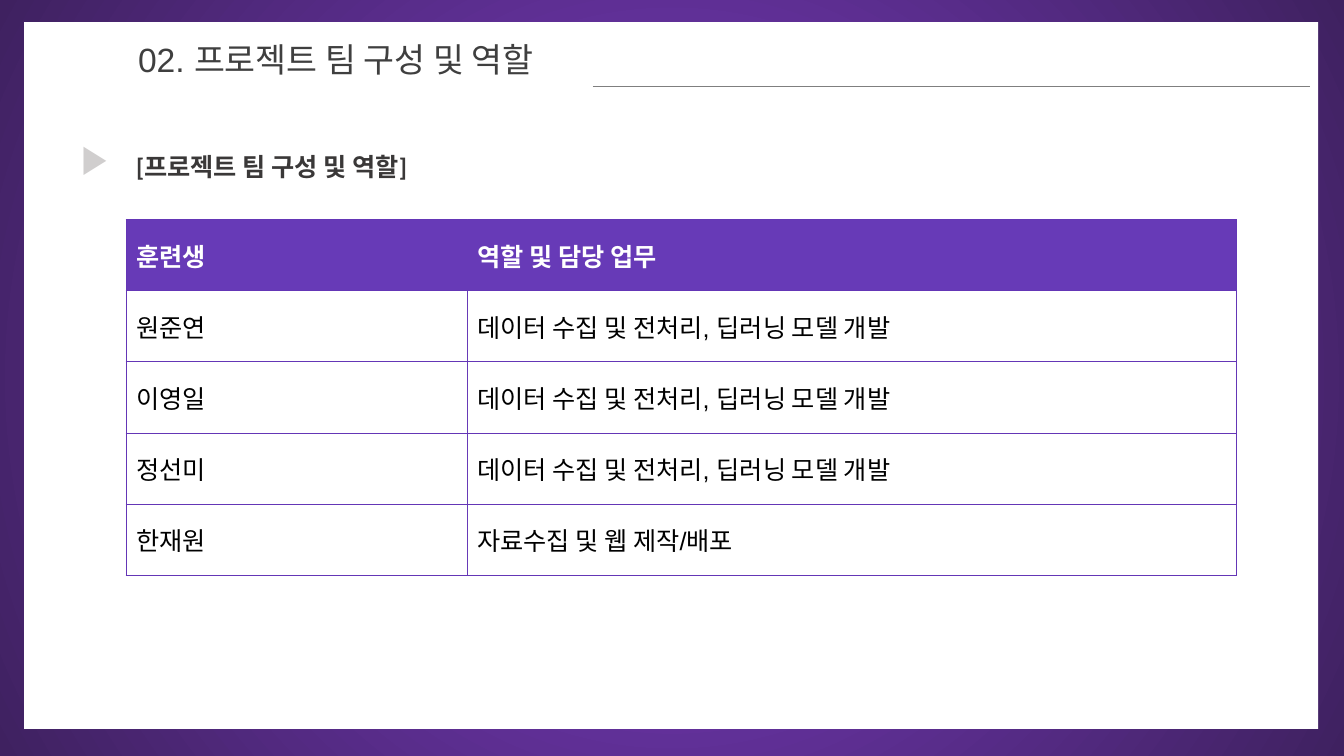
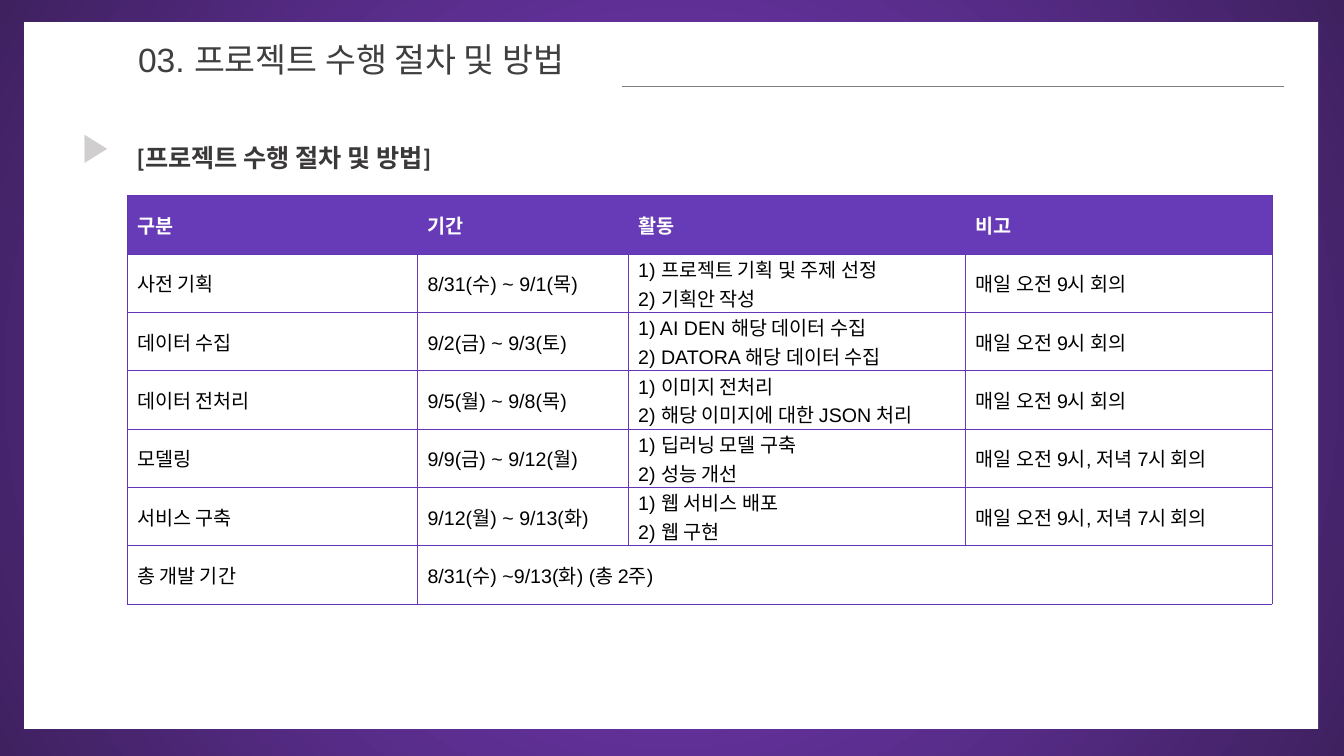
from dataclasses import dataclass

import pptx
import pptx.dml.color
import pptx.enum.shapes
import pptx.enum.text
import pptx.oxml
import pptx.oxml.ns
import pptx.slide
import pptx.table
import pptx.text.text
import pptx.util

Cm = pptx.util.Cm
Pt = pptx.util.Pt
RGBColor = pptx.dml.color.RGBColor

# Shared colours and fonts
GLOW = RGBColor(0x7E, 0x3D, 0xC8)
EDGE = RGBColor(0x3F, 0x21, 0x60)
WHITE = RGBColor(0xFF, 0xFF, 0xFF)
BLACK = RGBColor(0x00, 0x00, 0x00)
RULE_GRAY = RGBColor(0x7F, 0x7F, 0x7F)
TITLE_GRAY = RGBColor(0x3F, 0x3F, 0x3F)
MARKER_GRAY = RGBColor(0xD0, 0xCE, 0xCE)
HEADING_GRAY = RGBColor(0x3A, 0x38, 0x38)
PURPLE = RGBColor(0x67, 0x3A, 0xB7)
GRID_PURPLE = RGBColor(0x64, 0x36, 0xB6)
BODY_FONT = "Arial"
HEADING_FONT = "Calibri"


@dataclass(frozen=True)
class TextStyle:
    size: float
    color: RGBColor
    font: str = BODY_FONT
    bold: bool = False
    line_spacing: float | None = None


@dataclass(frozen=True)
class Box:
    left: float
    top: float
    width: float
    height: float


@dataclass(frozen=True)
class TableContent:
    left: float
    top: float
    column_widths: tuple[float, ...]
    row_height: float
    text_size: float
    rows: tuple[tuple[str, ...], ...]


@dataclass(frozen=True)
class SlideContent:
    title: str
    title_width: float
    rule_start: float
    rule_end: float
    marker_left: float
    marker_top: float
    heading: str
    heading_box: Box
    table: TableContent


TITLE_STYLE = TextStyle(24, TITLE_GRAY)
MARKER_STYLE = TextStyle(28, MARKER_GRAY, bold=True)
HEADING_STYLE = TextStyle(18, HEADING_GRAY, HEADING_FONT, True, 1.5)

MORNING = "매일 오전 9시 회의"
MORNING_AND_EVENING = "매일 오전 9시, 저녁 7시 회의"
MODEL_ROLE = "데이터 수집 및 전처리, 딥러닝 모델 개발"

SLIDES = (
    SlideContent(
        title="02. 프로젝트 팀 구성 및 역할", title_width=12.4,
        rule_start=14.94, rule_end=33.02, marker_left=1.8, marker_top=3.23,
        heading="[프로젝트 팀 구성 및 역할]",
        heading_box=Box(3.18, 3.3, 28.35, 1.42),
        table=TableContent(3.18, 5.54, (8.59, 19.38), 1.79, 18, (
            ("훈련생", "역할 및 담당 업무"),
            ("원준연", MODEL_ROLE),
            ("이영일", MODEL_ROLE),
            ("정선미", MODEL_ROLE),
            ("한재원", "자료수집 및 웹 제작/배포"),
        )),
    ),
    SlideContent(
        title="03. 프로젝트 수행 절차 및 방법", title_width=13.69,
        rule_start=15.67, rule_end=32.36, marker_left=1.83, marker_top=2.92,
        heading="[프로젝트 수행 절차 및 방법]",
        heading_box=Box(3.2, 3.07, 28.85, 1.42),
        table=TableContent(3.2, 4.93, (7.32, 5.31, 8.51, 7.72), 1.47, 14, (
            ("구분", "기간", "활동", "비고"),
            ("사전 기획", "8/31(수) ~ 9/1(목)",
             "1) 프로젝트 기획 및 주제 선정\n2) 기획안 작성", MORNING),
            ("데이터 수집", "9/2(금) ~ 9/3(토)",
             "1) AI DEN 해당 데이터 수집\n2) DATORA 해당 데이터 수집", MORNING),
            ("데이터 전처리", "9/5(월) ~ 9/8(목)",
             "1) 이미지 전처리\n2) 해당 이미지에 대한 JSON 처리", MORNING),
            ("모델링", "9/9(금) ~ 9/12(월)",
             "1) 딥러닝 모델 구축\n2) 성능 개선", MORNING_AND_EVENING),
            ("서비스 구축", "9/12(월) ~ 9/13(화)",
             "1) 웹 서비스 배포\n2) 웹 구현", MORNING_AND_EVENING),
            ("총 개발 기간", "8/31(수) ~9/13(화) (총 2주)"),
        )),
    ),
)


def write_text(frame: pptx.text.text.TextFrame, text: str, style: TextStyle) -> None:
    for index, line in enumerate(text.split("\n")):
        paragraph = frame.add_paragraph() if index else frame.paragraphs[0]
        if style.line_spacing:
            paragraph.line_spacing = style.line_spacing
        run = paragraph.add_run()
        run.text = line
        run.font.name = style.font
        run.font.size = Pt(style.size)
        run.font.bold = style.bold
        run.font.color.rgb = style.color


def add_text(slide: pptx.slide.Slide, box: Box, text: str, style: TextStyle) -> None:
    shape = slide.shapes.add_textbox(
        Cm(box.left), Cm(box.top), Cm(box.width), Cm(box.height))
    shape.text_frame.word_wrap = True
    write_text(shape.text_frame, text, style)


def paint_background(slide: pptx.slide.Slide) -> None:
    fill = slide.background.fill
    fill.gradient()
    for stop, color in zip(fill.gradient_stops, (GLOW, EDGE)):
        stop.color.rgb = color
    # Turn the linear gradient into a radial one
    linear = slide.element.find(".//" + pptx.oxml.ns.qn("a:lin"))
    radial = pptx.oxml.parse_xml(
        f'<a:path {pptx.oxml.ns.nsdecls("a")} path="circle">'
        '<a:fillToRect l="50000" t="50000" r="50000" b="50000"/></a:path>')
    linear.getparent().replace(linear, radial)


def add_panel(slide: pptx.slide.Slide) -> None:
    panel = slide.shapes.add_shape(
        pptx.enum.shapes.MSO_SHAPE.RECTANGLE,
        Cm(0.61), Cm(0.56), Cm(32.61), Cm(17.81))
    panel.shadow.inherit = False
    panel.fill.solid()
    panel.fill.fore_color.rgb = WHITE
    panel.line.fill.background()


def add_title_rule(slide: pptx.slide.Slide, start: float, end: float) -> None:
    rule = slide.shapes.add_connector(
        pptx.enum.shapes.MSO_CONNECTOR.STRAIGHT,
        Cm(start), Cm(2.18), Cm(end), Cm(2.18))
    rule.line.color.rgb = RULE_GRAY
    rule.line.width = Pt(1)
    rule.element.spPr.append(pptx.oxml.parse_xml(
        f'<a:effectLst {pptx.oxml.ns.nsdecls("a")}/>'))


def set_borders(cell: pptx.table._Cell, first: bool, last: bool) -> None:
    grid, inner = (GRID_PURPLE, 0.75), (PURPLE, 0.5)
    sides = {"L": grid if first else inner, "R": grid if last else inner,
             "T": grid, "B": grid}
    properties = cell._tc.get_or_add_tcPr()
    for position, (side, (color, width)) in enumerate(sides.items()):
        properties.insert(position, pptx.oxml.parse_xml(
            f'<a:ln{side} {pptx.oxml.ns.nsdecls("a")} w="{Pt(width)}">'
            f'<a:solidFill><a:srgbClr val="{color}"/></a:solidFill></a:ln{side}>'))


def add_table(slide: pptx.slide.Slide, content: TableContent) -> None:
    row_count, column_count = len(content.rows), len(content.column_widths)
    table = slide.shapes.add_table(
        row_count, column_count, Cm(content.left), Cm(content.top),
        Cm(sum(content.column_widths)), Cm(content.row_height * row_count)).table
    table.horz_banding = False
    for column, width in zip(table.columns, content.column_widths):
        column.width = Cm(width)

    for row_index, texts in enumerate(content.rows):
        table.rows[row_index].height = Cm(content.row_height)
        header = row_index == 0
        style = TextStyle(content.text_size, WHITE if header else BLACK, bold=header)
        for column_index in range(column_count):
            cell = table.cell(row_index, column_index)
            cell.vertical_anchor = pptx.enum.text.MSO_ANCHOR.MIDDLE
            cell.margin_top = cell.margin_bottom = Cm(0)
            if header:
                cell.fill.solid()
                cell.fill.fore_color.rgb = PURPLE
            else:
                cell.fill.background()
            set_borders(cell, column_index == 0, column_index == column_count - 1)
            if column_index < len(texts):
                write_text(cell.text_frame, texts[column_index], style)
        # The last text of a short row spans the remaining columns
        if len(texts) < column_count:
            table.cell(row_index, len(texts) - 1).merge(
                table.cell(row_index, column_count - 1))


def add_slide(presentation, content: SlideContent) -> None:
    slide = presentation.slides.add_slide(presentation.slide_layouts[6])
    # Shared frame
    paint_background(slide)
    add_panel(slide)
    add_title_rule(slide, content.rule_start, content.rule_end)
    # Title and section heading
    add_text(slide, Box(3.23, 0.86, content.title_width, 1.27),
             content.title, TITLE_STYLE)
    add_text(slide, Box(content.marker_left, content.marker_top, 1.4, 1.45),
             "▶", MARKER_STYLE)
    add_text(slide, content.heading_box, content.heading, HEADING_STYLE)
    # Body
    add_table(slide, content.table)


def main() -> None:
    presentation = pptx.Presentation()
    presentation.slide_width = Cm(33.87)
    presentation.slide_height = Cm(19.05)
    for content in SLIDES:
        add_slide(presentation, content)
    presentation.save("out.pptx")


if __name__ == "__main__":
    main()
